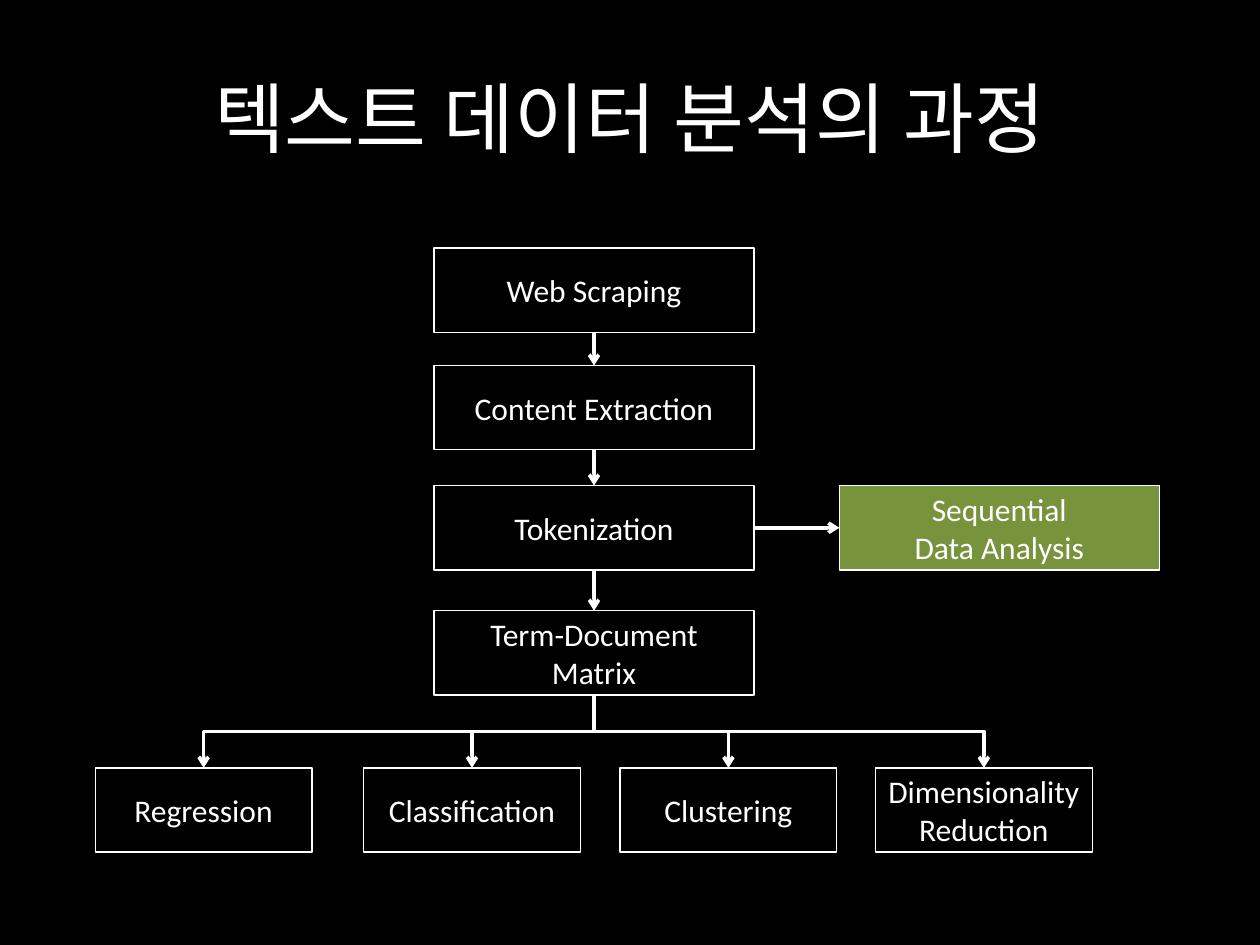
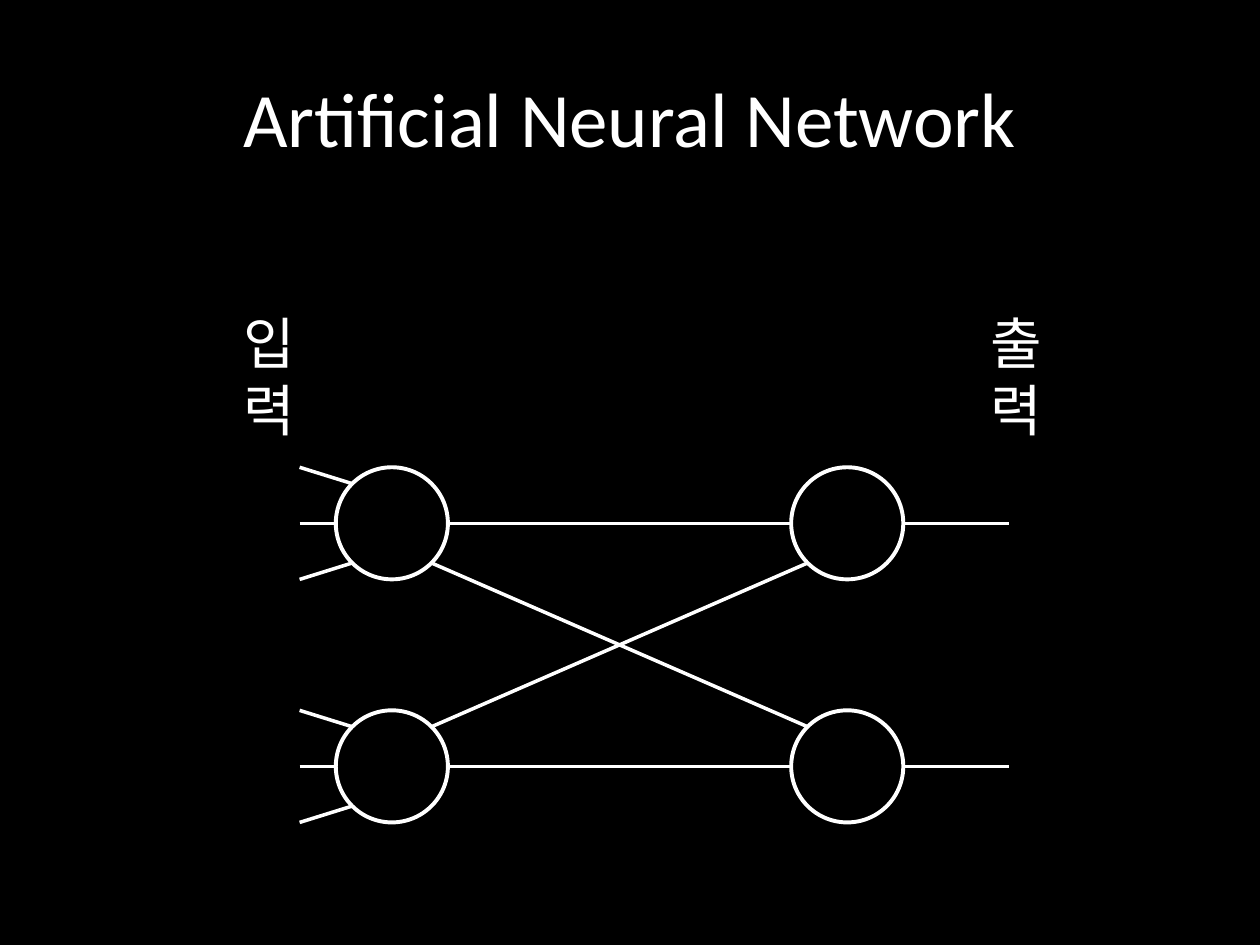
from dataclasses import dataclass
from itertools import pairwise, product
from math import cos, pi

from lxml.etree import SubElement
from pptx import Presentation
from pptx.dml.color import RGBColor
from pptx.enum.shapes import MSO_CONNECTOR as Link, MSO_SHAPE as Preset
from pptx.enum.text import MSO_ANCHOR as Anchor, PP_ALIGN as Align
from pptx.oxml.ns import qn
from pptx.shapes.autoshape import Shape
from pptx.shapes.connector import Connector
from pptx.slide import Slide
from pptx.util import Cm, Pt

COLORS = {"background": "000000", "ink": "FFFFFF", "highlight": "77933C"}
FONT = "Calibri"
LINK_WIDTH = 2
TOP, LEFT, BOTTOM, RIGHT = range(4)

STEP_WIDTH, METHOD_WIDTH, BOX_HEIGHT = 6.45, 4.37, 1.7
STEP_LEFT, METHOD_TOP = 8.75, 15.48

NODE_SIZE = 2.26
RADIUS = NODE_SIZE / 2
DIAGONAL = RADIUS * cos(pi / 4)
INPUT_CENTER, OUTPUT_CENTER = 7.9, 17.08
ROW_CENTERS = (10.55, 15.45)
INPUT_START, OUTPUT_END = 6.04, 20.35


@dataclass(frozen=True)
class Stage:
    label: str
    left: float
    top: float
    width: float = STEP_WIDTH
    fill: str = "background"


@dataclass(frozen=True)
class Caption:
    text: str
    left: float
    top: float
    width: float
    height: float
    size: int
    align: Align = Align.LEFT
    anchor: Anchor = Anchor.TOP


STEPS = [
    Stage("Web Scraping", STEP_LEFT, 5.0),
    Stage("Content Extraction", STEP_LEFT, 7.37),
    Stage("Tokenization", STEP_LEFT, 9.79),
    Stage("Term-Document\nMatrix", STEP_LEFT, 12.31),
]
SEQUENTIAL = Stage("Sequential\nData Analysis", 16.92, 9.79, fill="highlight")
METHODS = [
    Stage("Regression", 1.92, METHOD_TOP, METHOD_WIDTH),
    Stage("Classification", 7.33, METHOD_TOP, METHOD_WIDTH),
    Stage("Clustering", 12.5, METHOD_TOP, METHOD_WIDTH),
    Stage("Dimensionality\nReduction", 17.65, METHOD_TOP, METHOD_WIDTH),
]
LAYER_CAPTIONS = [
    Caption("입력", 4.65, 6.1, 2.49, 1.63, 32),
    Caption("출력", 19.71, 6.1, 2.49, 1.63, 32),
]


def rgb(name: str) -> RGBColor:
    return RGBColor.from_string(COLORS[name])


def write(shape: Shape, text: str, size: int, align: Align, anchor: Anchor) -> None:
    frame = shape.text_frame
    frame.text = text
    frame.word_wrap = True
    frame.vertical_anchor = anchor
    for paragraph in frame.paragraphs:
        paragraph.alignment = align
        for run in paragraph.runs:
            run.font.name = FONT
            run.font.size = Pt(size)
            run.font.color.rgb = rgb("ink")


def add_caption(slide: Slide, caption: Caption) -> None:
    box = slide.shapes.add_textbox(
        Cm(caption.left), Cm(caption.top), Cm(caption.width), Cm(caption.height)
    )
    write(box, caption.text, caption.size, caption.align, caption.anchor)


def add_outlined(slide: Slide, preset: Preset, left: float, top: float,
                 width: float, height: float, fill: str, weight: float) -> Shape:
    shape = slide.shapes.add_shape(preset, Cm(left), Cm(top), Cm(width), Cm(height))
    shape.shadow.inherit = False
    shape.fill.solid()
    shape.fill.fore_color.rgb = rgb(fill)
    shape.line.color.rgb = rgb("ink")
    shape.line.width = Pt(weight)
    return shape


def add_stage(slide: Slide, stage: Stage) -> Shape:
    box = add_outlined(slide, Preset.RECTANGLE, stage.left, stage.top,
                       stage.width, BOX_HEIGHT, stage.fill, 0.75)
    box.text_frame.margin_left = box.text_frame.margin_right = Cm(0.1)
    write(box, stage.label, 18, Align.CENTER, Anchor.MIDDLE)
    return box


def style_link(link: Connector) -> None:
    link.line.color.rgb = rgb("ink")
    link.line.width = Pt(LINK_WIDTH)
    SubElement(link._element.spPr, qn("a:effectLst"))


def add_line(slide: Slide, start: tuple[float, float], end: tuple[float, float]) -> None:
    style_link(slide.shapes.add_connector(
        Link.STRAIGHT, *(Cm(length) for length in (*start, *end))
    ))


def add_arrow(slide: Slide, source: Shape, target: Shape, kind: Link = Link.STRAIGHT,
              start: int = BOTTOM, end: int = TOP) -> Connector:
    arrow = slide.shapes.add_connector(kind, 0, 0, 0, 0)
    arrow.begin_connect(source, start)
    arrow.end_connect(target, end)
    style_link(arrow)
    SubElement(arrow.line._get_or_add_ln(), qn("a:tailEnd"), type="arrow")
    return arrow


def add_branch(slide: Slide, source: Shape, target: Shape) -> None:
    branch = add_arrow(slide, source, target, Link.ELBOW)
    x1, y1, x2, y2 = branch.begin_x, branch.begin_y, branch.end_x, branch.end_y
    drop, spread = y2 - y1, abs(x2 - x1)
    branch.left = (x1 + x2 - drop) // 2
    branch.top = (y1 + y2 - spread) // 2
    branch.width, branch.height = drop, spread
    frame = branch._element.spPr.find(qn("a:xfrm"))
    rightward = x2 > x1
    frame.set("rot", str((270 if rightward else 90) * 60000))
    frame.set("flipH", "1" if rightward else "0")
    frame.set("flipV", "0")


def add_titled_slide(prs: Presentation, title: str) -> Slide:
    slide = prs.slides.add_slide(prs.slide_layouts[6])
    slide.background.fill.solid()
    slide.background.fill.fore_color.rgb = rgb("background")
    add_caption(slide, Caption(title, 1.27, 0.76, 22.86, 3.18, 44,
                               Align.CENTER, Anchor.MIDDLE))
    return slide


def build_process(prs: Presentation) -> None:
    slide = add_titled_slide(prs, "텍스트 데이터 분석의 과정")
    steps = [add_stage(slide, step) for step in STEPS]
    sequential = add_stage(slide, SEQUENTIAL)
    methods = [add_stage(slide, method) for method in METHODS]
    tokenization, matrix = steps[2:]
    for method in methods:
        add_branch(slide, matrix, method)
    for upper, lower in pairwise(steps):
        add_arrow(slide, upper, lower)
    add_arrow(slide, tokenization, sequential, start=RIGHT, end=LEFT)


def build_network(prs: Presentation) -> None:
    slide = add_titled_slide(prs, "Artificial Neural Network")
    for caption in LAYER_CAPTIONS:
        add_caption(slide, caption)
    for x, y in product((INPUT_CENTER, OUTPUT_CENTER), ROW_CENTERS):
        add_outlined(slide, Preset.OVAL, x - RADIUS, y - RADIUS,
                     NODE_SIZE, NODE_SIZE, "background", 2.25)
    for y in ROW_CENTERS:
        add_line(slide, (INPUT_START, y), (INPUT_CENTER - RADIUS, y))
        add_line(slide, (INPUT_CENTER + RADIUS, y), (OUTPUT_CENTER - RADIUS, y))
        add_line(slide, (OUTPUT_CENTER + RADIUS, y), (OUTPUT_END, y))
        for side in (-1, 1):
            add_line(slide, (INPUT_START, y + side * RADIUS),
                     (INPUT_CENTER - DIAGONAL, y + side * DIAGONAL))
    upper, lower = ROW_CENTERS[0] + DIAGONAL, ROW_CENTERS[1] - DIAGONAL
    for start, end in ((upper, lower), (lower, upper)):
        add_line(slide, (INPUT_CENTER + DIAGONAL, start), (OUTPUT_CENTER - DIAGONAL, end))


def main() -> None:
    prs = Presentation()
    prs.slide_width, prs.slide_height = Cm(25.4), Cm(19.05)
    build_process(prs)
    build_network(prs)
    prs.save("out.pptx")


if __name__ == "__main__":
    main()
